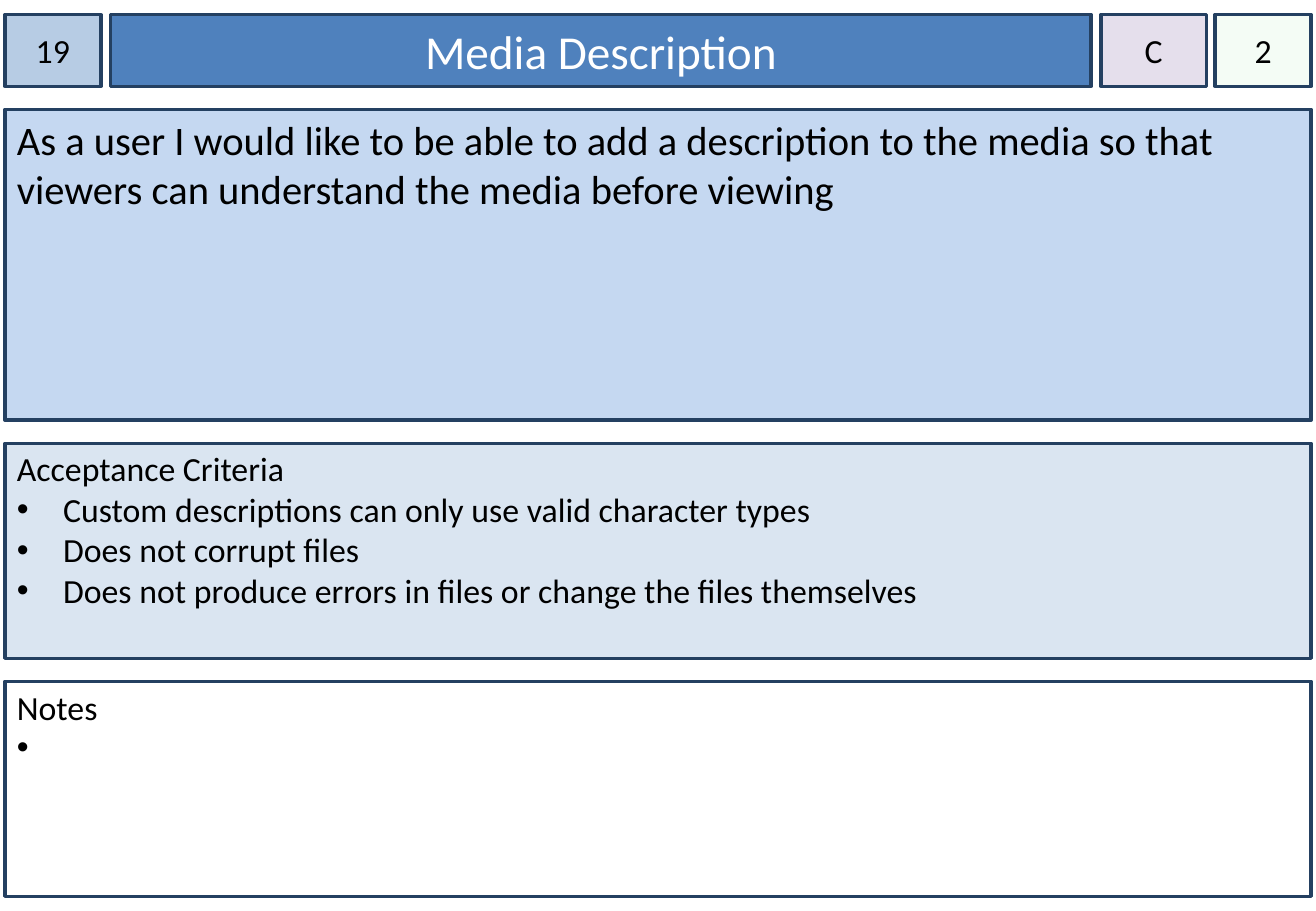
from lxml import etree
from pptx import Presentation
from pptx.dml.color import RGBColor
from pptx.enum.shapes import MSO_SHAPE
from pptx.enum.text import MSO_ANCHOR, PP_ALIGN
from pptx.oxml.ns import qn
from pptx.util import Inches, Pt

RECTANGLE = MSO_SHAPE.RECTANGLE
MIDDLE, TOP = MSO_ANCHOR.MIDDLE, MSO_ANCHOR.TOP
CENTER, LEFT = PP_ALIGN.CENTER, PP_ALIGN.LEFT

COLORS = {
    "border": "244061", "black": "000000", "white": "FFFFFF",
    "number": "B7CCE4", "title": "4F81BD", "story": "C5D8F1",
    "criteria": "DAE5F1", "priority": "E5DFEC", "estimate": "CCF0CD",
}
HEADER_TOP, HEADER_HEIGHT = 0.12, 0.59
PANEL_LEFT, PANEL_WIDTH = 0.04, 10.75


def add_box(left, top, width, height, fill, lines, size=20, color="black",
            align=LEFT, anchor=TOP, side_inset=0.1, top_inset=0.05):
    shape = slide.shapes.add_shape(
        RECTANGLE, Inches(left), Inches(top), Inches(width), Inches(height))
    shape.shadow.inherit = False
    shape.fill.solid()
    shape.fill.fore_color.rgb = RGBColor.from_string(COLORS[fill])
    shape.line.color.rgb = RGBColor.from_string(COLORS["border"])
    shape.line.width = Pt(2)
    frame = shape.text_frame
    frame.word_wrap = True
    frame.vertical_anchor = anchor
    frame.margin_left = frame.margin_right = Inches(side_inset)
    frame.margin_top, frame.margin_bottom = Inches(top_inset), Inches(0.05)
    frame.text = "\n".join(lines)
    for paragraph in frame.paragraphs:
        paragraph.alignment = align
        paragraph.font.size = Pt(size)
        for run in paragraph.runs:
            run.font.size = Pt(size)
            run.font.name = "Calibri"
            run.font.color.rgb = RGBColor.from_string(COLORS[color])
    return shape


def add_bullets(shape, indent):
    """Bullet every paragraph below the heading."""
    for paragraph in shape.text_frame.paragraphs[1:]:
        properties = paragraph._p.get_or_add_pPr()
        properties.set("marL", str(Inches(indent)))
        properties.set("indent", str(-Inches(indent)))
        font = etree.Element(qn("a:buFont"), typeface="Arial")
        bullet = etree.Element(qn("a:buChar"), char="•")
        defaults = properties.find(qn("a:defRPr"))
        defaults.addprevious(font)
        defaults.addprevious(bullet)


presentation = Presentation()
presentation.slide_width = Inches(10.83)
presentation.slide_height = Inches(7.5)
slide = presentation.slides.add_slide(presentation.slide_layouts[6])

# Header row
add_box(0.91, HEADER_TOP, 8.07, HEADER_HEIGHT, "title", ["Media Description"],
        size=28, color="white", align=CENTER, anchor=MIDDLE)
for left, width, name, label in [
    (0.04, 0.79, "number", "19"),
    (9.06, 0.87, "priority", "C"),
    (10, 0.79, "estimate", "2"),
]:
    tag = add_box(left, HEADER_TOP, width, HEADER_HEIGHT, name, [label],
                  align=CENTER, anchor=MIDDLE, side_inset=0)
# The estimate, last in the row, has a fill of 20% opacity
estimate_color = tag._element.spPr.find(qn("a:solidFill"))[0]
etree.SubElement(estimate_color, qn("a:alpha"), val="20000")

# Story card panels
add_box(PANEL_LEFT, 0.9, PANEL_WIDTH, 2.56, "story", [
    "As a user I would like to be able to add a description to the media "
    "so that viewers can understand the media before viewing"], size=24)
for top, fill, indent, lines in [
    (3.65, "criteria", 0.38, [
        "Acceptance Criteria",
        "Custom descriptions can only use valid character types",
        "Does not corrupt files",
        "Does not produce errors in files or change the files themselves"]),
    (5.61, "white", 0.2, ["Notes", " "]),
]:
    panel = add_box(PANEL_LEFT, top, PANEL_WIDTH, 1.77, fill, lines,
                    top_inset=0.04)
    add_bullets(panel, indent)

presentation.save("out.pptx")
